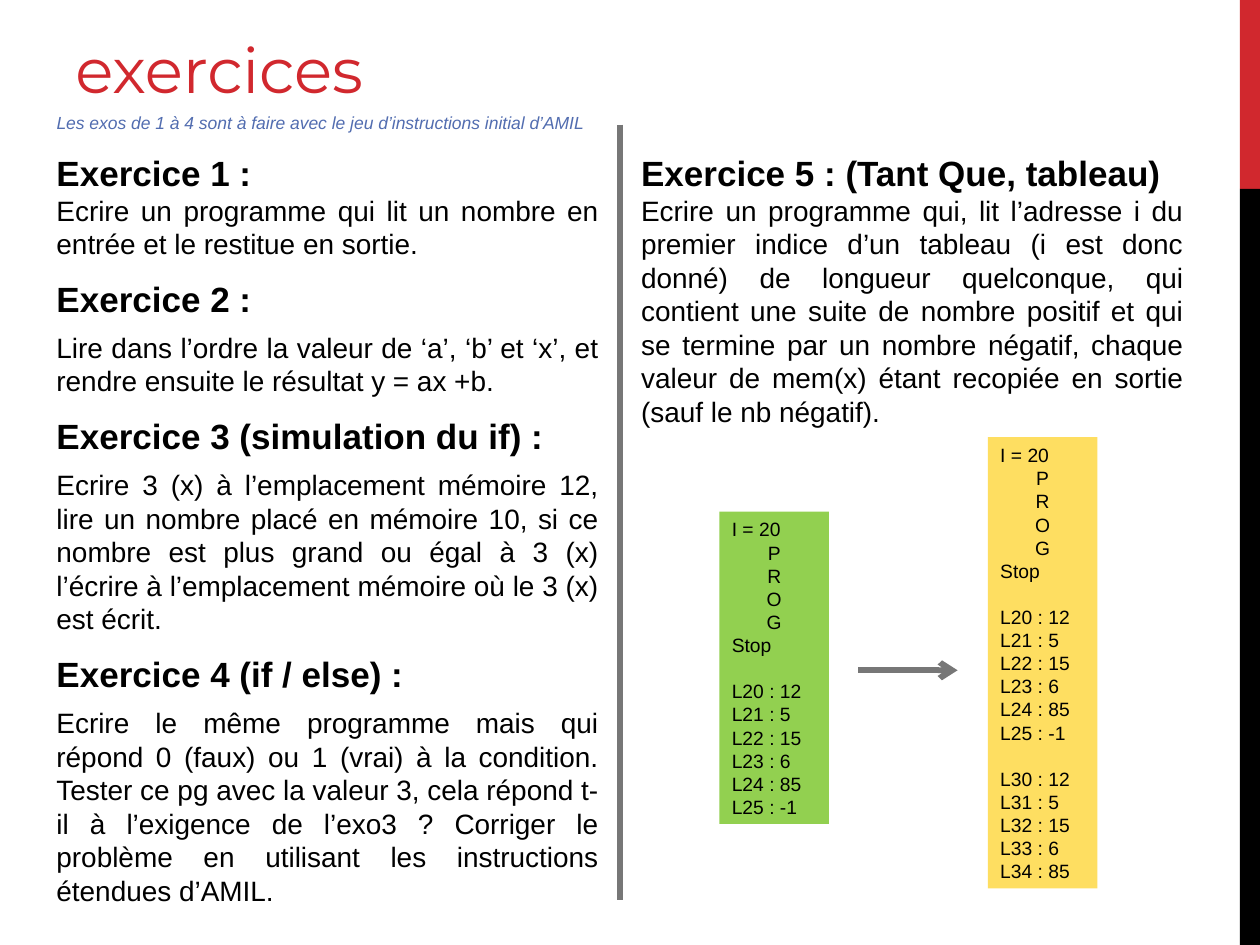
from lxml import etree
from pptx import Presentation
from pptx import util as u
from pptx.dml.color import RGBColor
from pptx.enum import shapes, text
from pptx.oxml.ns import qn


def color(value):
    return RGBColor.from_string(value)


def add_text(shape, lines, anchor=text.MSO_ANCHOR.TOP):
    frame = shape.text_frame
    frame.word_wrap = True
    frame.vertical_anchor = anchor
    for index, (words, size, style) in enumerate(lines):
        paragraph = frame.paragraphs[0] if index == 0 else frame.add_paragraph()
        paragraph.alignment = style.get("align", text.PP_ALIGN.LEFT)
        paragraph.space_before = u.Pt(style.get("before", 0))
        paragraph.space_after = u.Pt(style.get("after", 0))
        if "font" not in style:
            paragraph.line_spacing = u.Pt(size * 1.2)
        run = paragraph.add_run()
        run.text = words
        run.font.size = u.Pt(size)
        run.font.name = style.get("font", "Arial")
        run.font.bold = style.get("bold", False)
        run.font.italic = style.get("italic", False)
        run.font.color.rgb = color(style.get("color", "000000"))


presentation = Presentation()
presentation.slide_width = u.Inches(10)
presentation.slide_height = u.Inches(7.5)
slide = presentation.slides.add_slide(presentation.slide_layouts[6])

for top, height, fill in [(0, 1.5, "D1282E"), (1.5, 6, "000000")]:
    band = slide.shapes.add_shape(
        shapes.MSO_SHAPE.RECTANGLE,
        u.Inches(9.84), u.Inches(top), u.Inches(0.16), u.Inches(height))
    band.shadow.inherit = False
    band.fill.solid()
    band.fill.fore_color.rgb = color(fill)
    band.line.fill.background()

title = slide.shapes.add_textbox(u.Inches(0.5), u.Inches(0.17), u.Inches(8.67), u.Inches(0.75))
add_text(title, [("exercices", 36, {"font": "Montserrat", "color": "D1282E"})],
         text.MSO_ANCHOR.MIDDLE)

subtitle = slide.shapes.add_textbox(u.Inches(0.35), u.Inches(0.84), u.Inches(4.49), u.Inches(0.27))
add_text(subtitle, [("Les exos de 1 à 4 sont à faire avec le jeu d’instructions initial d’AMIL",
                     10, {"italic": True, "color": "526DB0"})])

columns = [
    (0.35, [
        ("Exercice 1 :",
         "Ecrire un programme qui lit un nombre en entrée et le restitue en sortie."),
        ("Exercice 2 :",
         "Lire dans l’ordre la valeur de ‘a’, ‘b’ et ‘x’, et rendre ensuite le résultat y = ax +b."),
        ("Exercice 3 (simulation du if) :",
         "Ecrire 3 (x) à l’emplacement mémoire 12, lire un nombre placé en mémoire 10, "
         "si ce nombre est plus grand ou égal à 3 (x) l’écrire à l’emplacement mémoire "
         "où le 3 (x) est écrit."),
        ("Exercice 4 (if / else) :",
         "Ecrire le même programme mais qui répond 0 (faux) ou 1 (vrai) à la condition. "
         "Tester ce pg avec la valeur 3, cela répond t-il à l’exigence de l’exo3 ? "
         "Corriger le problème en utilisant les instructions étendues d’AMIL."),
    ]),
    (4.99, [
        ("Exercice 5 : (Tant Que, tableau)",
         "Ecrire un programme qui, lit l’adresse i du premier indice d’un tableau "
         "(i est donc donné) de longueur quelconque, qui contient une suite de nombre "
         "positif et qui se termine par un nombre négatif, chaque valeur de mem(x) "
         "étant recopiée en sortie (sauf le nb négatif)."),
    ]),
]
for left, exercises in columns:
    lines = []
    for index, (heading, statement) in enumerate(exercises):
        spacing = {"before": 4, "after": 6} if index else {}
        lines.append((heading, 20, {"bold": True, **spacing}))
        lines.append((statement, 16, {"align": text.PP_ALIGN.JUSTIFY, "after": 6}))
    column = slide.shapes.add_textbox(u.Inches(left), u.Inches(1.15), u.Inches(4.5), u.Inches(6.06))
    add_text(column, lines)

program = ["I = 20", "P", "R", "O", "G", "Stop"]
values = [12, 5, 15, 6, 85, -1]
source_cells = [f"L{address} : {value}" for address, value in enumerate(values, 20)]
output_cells = [f"L{address} : {value}" for address, value in enumerate(values[:-1], 30)]
memories = [
    (5.71, 4.06, 2.48, "92D050", [program, source_cells]),
    (7.84, 3.47, 3.58, "FEDE61", [program, source_cells, output_cells]),
]
for left, top, height, fill, groups in memories:
    memory = slide.shapes.add_shape(
        shapes.MSO_SHAPE.RECTANGLE,
        u.Inches(left), u.Inches(top), u.Inches(0.87), u.Inches(height))
    memory.shadow.inherit = False
    memory.fill.solid()
    memory.fill.fore_color.rgb = color(fill)
    memory.line.fill.background()
    lines = []
    for number, group in enumerate(groups):
        for index, words in enumerate(group):
            style = {"before": 13.2} if number and index == 0 else {}
            if len(words) == 1:
                style["align"] = text.PP_ALIGN.CENTER
            lines.append((words, 11, style))
    add_text(memory, lines)

for left, top, right, bottom, width, head in [
    (4.92, 0.99, 4.92, 7.14, 3, None),
    (6.81, 5.32, 7.6, 5.32, 3.25, "arrow"),
]:
    connector = slide.shapes.add_connector(
        shapes.MSO_CONNECTOR.STRAIGHT,
        u.Inches(left), u.Inches(top), u.Inches(right), u.Inches(bottom))
    connector.line.color.rgb = color("777777")
    connector.line.width = u.Pt(width)
    if head:
        etree.SubElement(connector.line._get_or_add_ln(), qn("a:tailEnd"), type=head)
    etree.SubElement(connector._element.spPr, qn("a:effectLst"))

presentation.save("out.pptx")
